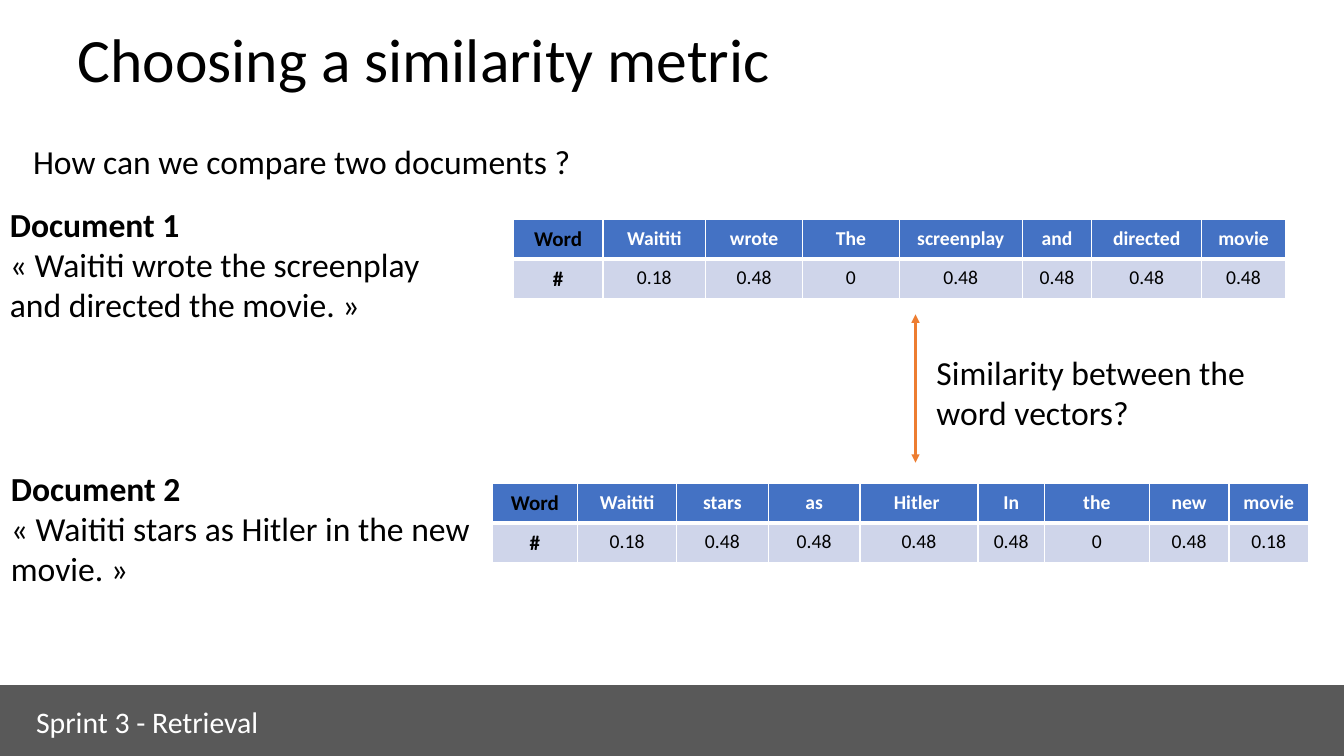
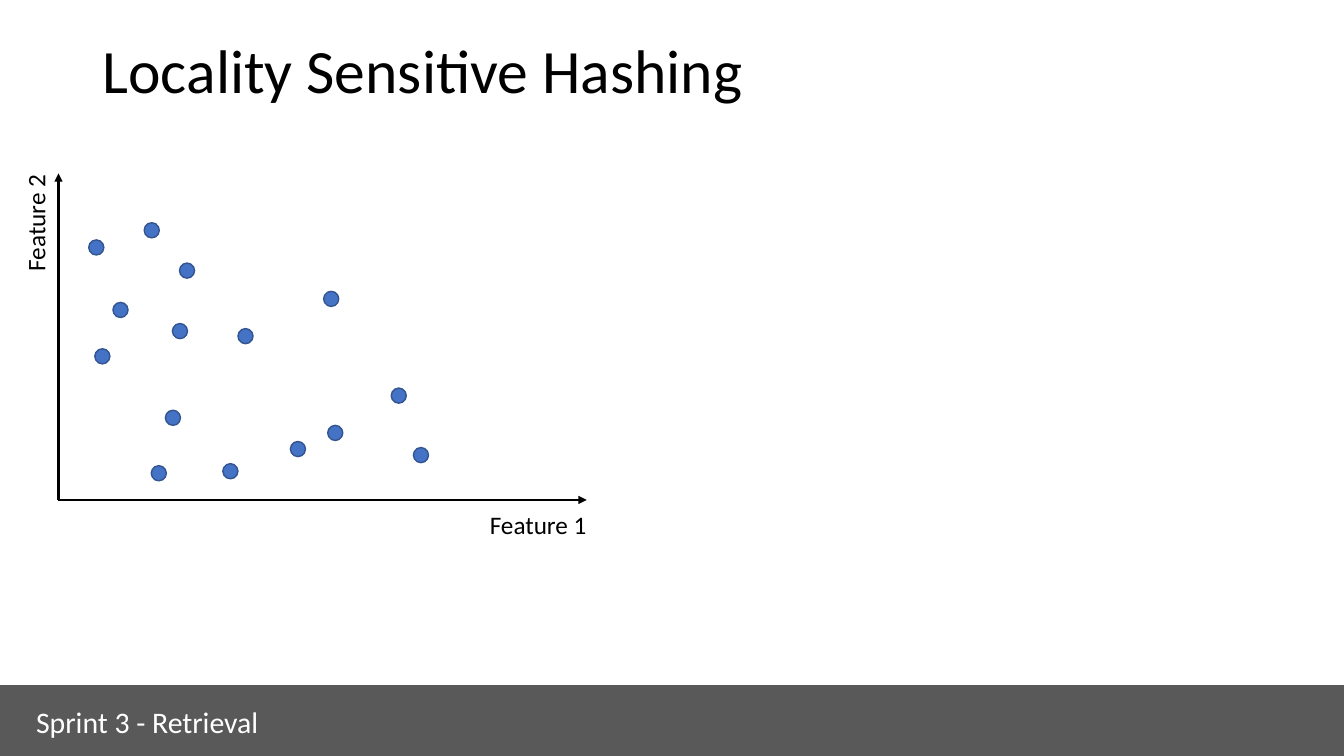
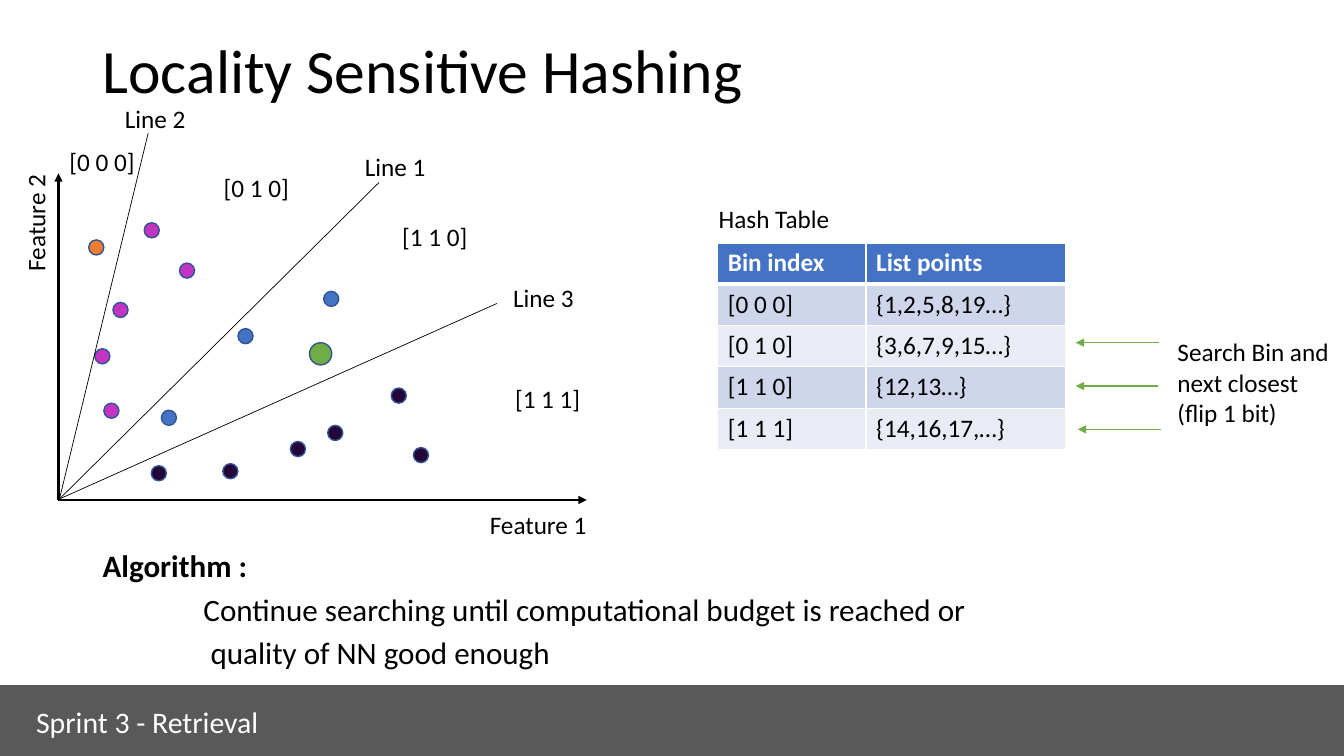
from pptx import Presentation
from pptx.dml.color import RGBColor
from pptx.enum.shapes import MSO_CONNECTOR, MSO_SHAPE
from pptx.enum.text import MSO_ANCHOR, PP_ALIGN
from pptx.oxml.ns import qn
from pptx.util import Inches, Pt
from lxml.etree import SubElement

FONT = "Calibri"
BLACK, WHITE, GRAY = "000000", "FFFFFF", "595959"
BLUE, BLUE_OUTLINE = "4472C4", "325491"
ORANGE, MAGENTA, PURPLE, GREEN = "ED7D31", "C434C2", "240539", "70AD47"
BANDS = ("CFD5EA", "E9EBF5")

DOT_SIZE = 0.15
ORIGIN = (0.58, 4.96)
LEFT_POINT = [(0.88, 2.38)]
UPPER_POINTS = [(0.94, 3.46), (1.12, 3), (1.43, 2.21), (1.78, 2.61)]
MIDDLE_POINTS = [(2.36, 3.26), (3.21, 2.89)]
LOWER_POINTS = [(1.5, 4.62), (2.21, 4.6), (3.25, 4.22),
                (2.88, 4.38), (4.1, 4.44), (3.88, 3.85)]


def color(value):
    """Turn a hex string into a colour."""
    return RGBColor.from_string(value)


def apply_format(target, values):
    """Set every attribute named in a dict."""
    for name, value in values.items():
        setattr(target, name, value)


def add_run(paragraph, text, size, ink=BLACK, bold=False):
    """Append one formatted run to a paragraph."""
    run = paragraph.add_run()
    run.text = text
    apply_format(run.font, {"name": FONT, "size": Pt(size), "bold": bold})
    run.font.color.rgb = color(ink)


def add_text(slide, box, lines, size=18, ink=BLACK, bold_first=False,
             anchor=MSO_ANCHOR.TOP, paragraph_format=None):
    """Add a wrapped text box with one paragraph per line."""
    shape = slide.shapes.add_textbox(*map(Inches, box))
    frame = shape.text_frame
    apply_format(frame, {"word_wrap": True, "vertical_anchor": anchor})
    for index, line in enumerate(lines):
        paragraph = frame.add_paragraph() if index else frame.paragraphs[0]
        apply_format(paragraph, paragraph_format or {})
        add_run(paragraph, line, size, ink, bold_first and index == 0)
    return shape


def add_shape(slide, kind, box, fill, line, width=1):
    """Add a filled and outlined preset shape."""
    shape = slide.shapes.add_shape(kind, *map(Inches, box))
    shape.shadow.inherit = False
    shape.fill.solid()
    shape.fill.fore_color.rgb = color(fill)
    shape.line.color.rgb = color(line)
    shape.line.width = Pt(width)


def add_line(slide, start, end, ink=BLACK, width=0.5, arrows=()):
    """Add a straight line; arrows names the ends that carry a head."""
    connector = slide.shapes.add_connector(
        MSO_CONNECTOR.STRAIGHT, *map(Inches, (*start, *end)))
    connector.line.color.rgb = color(ink)
    connector.line.width = Pt(width)
    line = connector.line._get_or_add_ln()
    for arrow in arrows:
        SubElement(line, qn(f"a:{arrow}"), type="triangle")
    SubElement(connector._element.spPr, qn("a:effectLst"))


def set_borders(cell, widths):
    """Draw white cell borders; widths maps a side to points."""
    properties = cell._tc.get_or_add_tcPr()
    for index, (side, width) in enumerate(widths.items()):
        border = properties.makeelement(qn(f"a:ln{side}"), {"w": str(Pt(width))})
        fill = SubElement(border, qn("a:solidFill"))
        SubElement(fill, qn("a:srgbClr"), val=WHITE)
        properties.insert(index, border)


def add_table(slide, position, columns, row_height, rows, cell_format, style_text):
    """Add a banded table; style_text gives the run format of each cell."""
    size = (sum(columns), row_height * len(rows))
    table = slide.shapes.add_table(
        len(rows), len(columns), *map(Inches, (*position, *size))).table
    for column, width in zip(table.columns, columns):
        column.width = Inches(width)
    for row, texts in enumerate(rows):
        table.rows[row].height = Inches(row_height)
        for column, text in enumerate(texts):
            cell = table.cell(row, column)
            apply_format(cell, cell_format)
            cell.fill.solid()
            cell.fill.fore_color.rgb = color(BANDS[(row - 1) % 2] if row else BLUE)
            sides = {"L": 1, "R": 1, "B": 1} if row else {"L": 1, "R": 1, "T": 1, "B": 3}
            set_borders(cell, sides)
            paragraph = cell.text_frame.paragraphs[0]
            add_run(paragraph, text, **style_text(row, column))
            yield paragraph


def vector_text(row, column):
    """Format word vectors: black bold labels, white bold words."""
    if column == 0:
        return {"size": 15, "bold": True}
    return {"size": 14, "bold": row == 0, "ink": BLACK if row else WHITE}


def hash_text(row, column):
    """Format the hash table: white bold header, black body."""
    return {"size": 18, "bold": row == 0, "ink": BLACK if row else WHITE}


def add_word_vector(slide, position, columns, words, weights):
    """Add a two-row table of words and their weights."""
    margins = {"margin_left": Inches(0.13), "margin_right": Inches(0.13),
               "margin_top": Inches(0.07), "margin_bottom": Inches(0.07)}
    rows = [["Word", *words], ["#", *weights]]
    for paragraph in add_table(slide, position, columns, 0.38, rows,
                               margins, vector_text):
        paragraph.alignment = PP_ALIGN.CENTER


def add_slide(presentation, title, title_box=(0.92, 0, 11.5, 1.45)):
    """Add a blank slide with the shared title and footer band."""
    slide = presentation.slides.add_slide(presentation.slide_layouts[6])
    add_text(slide, title_box, [title], 44, anchor=MSO_ANCHOR.MIDDLE,
             paragraph_format={"line_spacing": 0.9})
    add_shape(slide, MSO_SHAPE.RECTANGLE, (0, 6.8, 13.33, 0.7), GRAY, GRAY)
    add_text(slide, (0.26, 6.93, 3.36, 0.46), ["Sprint 3 - Retrieval"], 21.3, WHITE)
    return slide


def add_feature_plot(slide, points_by_color):
    """Draw the two feature axes and the coloured points."""
    for end in ((0.58, 1.72), (5.82, 4.96)):
        add_line(slide, ORIGIN, end, width=1.5, arrows=["tailEnd"])
    for fill, points in points_by_color.items():
        for point in points:
            add_shape(slide, MSO_SHAPE.OVAL, (*point, DOT_SIZE, DOT_SIZE),
                      fill, BLUE_OUTLINE)
    add_text(slide, (4.76, 5, 1.26, 0.4), ["Feature 1"])
    add_text(slide, (-0.28, 1.96, 1.26, 0.4), ["Feature 2"]).rotation = 270


def build_similarity(presentation):
    """Build the slide that compares two documents."""
    slide = add_slide(presentation, "Choosing a similarity metric", (0.67, 0, 12, 1.25))
    add_text(slide, (0.23, 1.35, 12.74, 0.5), ["How can we compare two documents ?"], 24)
    documents = [
        ((0, 1.97), "Document 1",
         "«\u00a0Waititi wrote the screenplay and directed the movie.\u00a0»"),
        ((0.01, 4.59), "Document 2",
         "«\u00a0Waititi stars as Hitler in the new movie.\u00a0»"),
    ]
    for position, name, quote in documents:
        add_text(slide, (*position, 4.77, 1.31), [name, quote], 24, bold_first=True)
    add_word_vector(
        slide, (5.09, 2.18), [0.89, 1.02, 0.96, 0.96, 1.22, 0.69, 1.09, 0.83],
        ["Waititi", "wrote", "The", "screenplay", "and", "directed", "movie"],
        ["0.18", "0.48", "0", "0.48", "0.48", "0.48", "0.48"])
    add_word_vector(
        slide, (4.88, 4.8), [0.85, 0.98, 0.91, 0.91, 1.17, 0.66, 1.04, 0.79, 0.79],
        ["Waititi", "stars", "as", "Hitler ", "In", "the", "new", "movie"],
        ["0.18", "0.48", "0.48", "0.48", "0.48", "0", "0.48", "0.18"])
    add_line(slide, (9.08, 3.12), (9.08, 4.59), ORANGE, 1.5, ["headEnd", "tailEnd"])
    add_text(slide, (9.19, 3.44, 3.36, 0.91), ["Similarity between the word vectors?"], 24)


def build_points(presentation):
    """Build the slide with the unlabelled points."""
    slide = add_slide(presentation, "Locality Sensitive Hashing")
    points = (LEFT_POINT + UPPER_POINTS + [(1.71, 3.21)] + MIDDLE_POINTS
              + [(1.64, 4.07)] + LOWER_POINTS)
    add_feature_plot(slide, {BLUE: points})


def build_hashing(presentation):
    """Build the slide with the split plane and its hash table."""
    slide = add_slide(presentation, "Locality Sensitive Hashing")
    add_feature_plot(slide, {
        ORANGE: LEFT_POINT,
        MAGENTA: UPPER_POINTS + [(1.03, 4)],
        BLUE: MIDDLE_POINTS + [(1.6, 4.07)],
        PURPLE: LOWER_POINTS,
    })
    for end in ((3.76, 1.81), (4.93, 3.01), (1.47, 1.32)):
        add_line(slide, (0.59, 4.95), end)
    labels = {"[0 0 0]": (0.59, 1.4), "[0 1 0]": (2.12, 1.66),
              "[1 1 0]": (3.89, 2.15), "[1 1 1]": (5.01, 3.75),
              "Line 2": (1.14, 0.98), "Line 1": (3.52, 1.45), "Line 3": (4.99, 2.75)}
    for label, position in labels.items():
        add_text(slide, (*position, 0.95, 0.4), [label])
    add_shape(slide, MSO_SHAPE.OVAL, (3.07, 3.4, 0.22, 0.22), GREEN, BLUE_OUTLINE)

    add_text(slide, (7.03, 1.97, 2.92, 0.4), ["Hash Table"])
    rows = [("Bin index", "List points"), ("[0 0 0]", "{1,2,5,8,19…}"),
            ("[0 1 0]", "{3,6,7,9,15…}"), ("[1 1 0]", "{12,13…}"),
            ("[1 1 1]", "{14,16,17,…}")]
    list(add_table(slide, (7.12, 2.41), [1.47, 1.98], 0.41, rows, {}, hash_text))
    for start, end, top in ((11.5, 10.67, 3.4), (11.49, 10.67, 3.83), (11.52, 10.69, 4.26)):
        add_line(slide, (start, top), (end, top), GREEN, 1, ["tailEnd"])
    add_text(slide, (11.58, 3.29, 1.71, 1.01), ["Search Bin and next closest (flip 1 bit)"])

    algorithm = add_text(
        slide, (0.92, 5.44, 11.5, 1.35),
        ["Algorithm :", "Continue searching until computational budget is reached or",
         "quality of NN good enough"],
        22.2, bold_first=True,
        paragraph_format={"line_spacing": 0.8, "space_before": Pt(10)})
    for paragraph, indent in zip(algorithm.text_frame.paragraphs, (0, 1, 1.07)):
        paragraph._p.get_or_add_pPr().set("marL", str(Inches(indent)))


def main():
    """Build and save the presentation."""
    presentation = Presentation()
    apply_format(presentation, {"slide_width": Inches(13.33), "slide_height": Inches(7.5)})
    build_similarity(presentation)
    build_points(presentation)
    build_hashing(presentation)
    presentation.save("out.pptx")


main()
